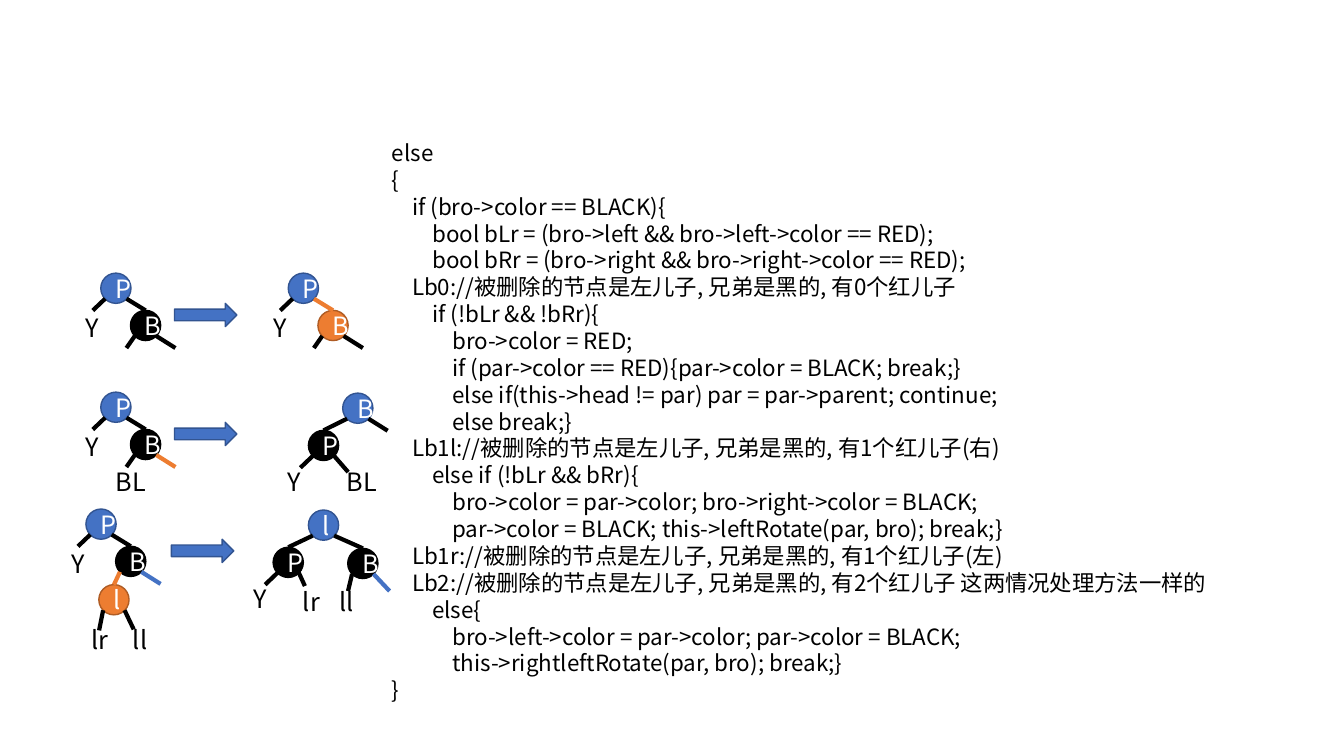
import pptx
import pptx.util
import pptx.dml.color
import pptx.enum.shapes
import pptx.enum.text
import pptx.oxml.ns
import lxml.etree

Pt = pptx.util.Pt
SHAPE = pptx.enum.shapes.MSO_SHAPE
ALIGN = pptx.enum.text.PP_ALIGN
ANCHOR = pptx.enum.text.MSO_ANCHOR

THEME = {
    "font": "Noto Sans CJK SC", "code_size": 16, "label_size": 18,
    "leading": 1.2, "outline": 1, "edge": 3,
    "text": "000000", "node_text": "FFFFFF",
    "fill": {"blue": "4472C4", "black": "000000", "red": "ED7D31"},
    "line": {"blue": "325491", "black": "000000", "red": "AF5C24"},
}

# (indent level, code line)
CODE = [
    (0, "else"),
    (0, "{"),
    (1, "if (bro->color == BLACK){"),
    (2, "bool bLr = (bro->left && bro->left->color == RED);"),
    (2, "bool bRr = (bro->right && bro->right->color == RED);"),
    (1, "Lb0://被删除的节点是左儿子, 兄弟是黑的, 有0个红儿子"),
    (2, "if (!bLr && !bRr){"),
    (3, "bro->color = RED;"),
    (3, "if (par->color == RED){par->color = BLACK; break;}"),
    (3, "else if(this->head != par) par = par->parent; continue;"),
    (3, "else break;}"),
    (1, "Lb1l://被删除的节点是左儿子, 兄弟是黑的, 有1个红儿子(右)"),
    (2, "else if (!bLr && bRr){"),
    (3, "bro->color = par->color; bro->right->color = BLACK;"),
    (3, "par->color = BLACK; this->leftRotate(par, bro); break;}"),
    (1, "Lb1r://被删除的节点是左儿子, 兄弟是黑的, 有1个红儿子(左)"),
    (1, "Lb2://被删除的节点是左儿子, 兄弟是黑的, 有2个红儿子 这两情况处理方法一样的"),
    (2, "else{"),
    (3, "bro->left->color = par->color; par->color = BLACK;"),
    (3, "this->rightleftRotate(par, bro); break;}"),
    (0, "}"),
]
CODE_BOX = (272.9, 95.8, 648, 414.7)
INDENT = 14.4

NODE = 21.6
LABEL = (44.6, 28.8)
ARROW = (44.6, 16.6)
ARROWS = [(124.6, 216.7), (124.6, 301.7), (122.4, 385.2)]
# Where edges leave (left, right) and enter (top) a node
PORTS = {"left": (3.1, 18.3), "right": (18.4, 18.3), "top": (10.8, 0)}

Y_CHILD = ("P", "left", (-8.8, 8.4), "black")
B_LEFT = ("B", "left", (-6, 8.6), "black")
B_RIGHT = ("B", "right", (13.7, 8.6))
Y_LABEL = ("Y", -28.1, 24.5)
ROTATED_Y = ("Y", -56.9, 49)


# Offsets are from the root; an edge ends at a node or at an offset from its port
def before(root, b_color, p_edge, edges, nodes=(), labels=()):
    """Describe a tree with P on top and its brother B at the lower right."""
    return {"root": root,
            "nodes": [("P", 0, 0, "blue"), ("B", 21.2, 26.6, b_color), *nodes],
            "edges": [("P", "right", "B", p_edge), Y_CHILD, *edges],
            "labels": [Y_LABEL, *labels]}


TREES = [
    before((72, 195.1), "black", "black", [(*B_RIGHT, "black"), B_LEFT]),
    before((205.9, 195.1), "red", "red", [(*B_RIGHT, "black"), B_LEFT]),
    before((72, 280.1), "black", "black", [(*B_RIGHT, "red"), B_LEFT],
           labels=[("BL", -0.7, 49.7)]),
    {"root": (244.8, 280.8),
     "nodes": [("P", -24.5, 26.6, "black"), ("B", 0, 0, "blue")],
     "edges": [("B", "left", "P", "black"), Y_CHILD, (*B_RIGHT, "black"),
               ("P", "right", (10, 11.5), "black")],
     "labels": [ROTATED_Y, ("BL", -8.6, 49)]},
    before((61.4, 363.6), "black", "black",
           [(*B_RIGHT, "blue"), ("B", "left", "l", "red"),
            ("l", "left", (-2.9, 14.4), "black"),
            ("l", "right", (6.5, 13.7), "black")],
           nodes=[("l", 9.2, 54, "red")],
           labels=[("ll", 16.4, 78.5), ("lr", -12.4, 78.5)]),
    {"root": (220.3, 364.3),
     "nodes": [("P", -25.2, 26.6, "black"), ("l", 0, 0, "blue"),
               ("B", 28.1, 27.4, "black")],
     "edges": [("l", "left", "P", "black"), Y_CHILD,
               ("l", "right", "B", "black"),
               ("P", "right", (-4.3 + 8.6, 9.4), "black"),
               ("B", "right", (11.5, 12.2), "blue"),
               ("B", "left", (-2.9, 12.2), "black")],
     "labels": [ROTATED_Y, ("lr", -20.2, 51.1), ("ll", 5, 51.1)]},
]


def rgb(value):
    """Turn a hex string into a colour."""
    return pptx.dml.color.RGBColor.from_string(value)


def points(values):
    """Turn numbers into lengths in points."""
    return [Pt(value) for value in values]


def add_span(para, text, size, color):
    """Write one run with the theme font and even line height."""
    para.line_spacing = Pt(size * THEME["leading"])
    span = para.add_run()
    span.text = text
    span.font.name = THEME["font"]
    span.font.size = Pt(size)
    span.font.color.rgb = rgb(color)
    fonts = span.font._element
    east = lxml.etree.SubElement(fonts, pptx.oxml.ns.qn("a:ea"))
    east.set("typeface", THEME["font"])


def add_solid(shapes, kind, frame, color):
    """Add a filled, outlined preset shape."""
    shape = shapes.add_shape(kind, *points(frame))
    shape.shadow.inherit = False
    shape.fill.solid()
    shape.fill.fore_color.rgb = rgb(THEME["fill"][color])
    shape.line.color.rgb = rgb(THEME["line"][color])
    shape.line.width = Pt(THEME["outline"])
    return shape


def add_node(shapes, name, left, top, color):
    """Add a lettered tree node."""
    node = add_solid(shapes, SHAPE.OVAL, (left, top, NODE, NODE), color)
    node.text_frame.vertical_anchor = ANCHOR.MIDDLE
    para = node.text_frame.paragraphs[0]
    para.alignment = ALIGN.CENTER
    add_span(para, name, THEME["label_size"], THEME["node_text"])


def add_edge(shapes, start, end, color):
    """Add a straight tree branch."""
    edge = shapes.add_connector(pptx.enum.shapes.MSO_CONNECTOR.STRAIGHT,
                                *points((*start, *end)))
    edge.line.color.rgb = rgb(THEME["fill"][color])
    edge.line.width = Pt(THEME["edge"])
    lxml.etree.SubElement(edge._element.spPr, pptx.oxml.ns.qn("a:effectLst"))


def add_box(shapes, frame):
    """Add a wrapping text box."""
    box = shapes.add_textbox(*points(frame))
    box.text_frame.word_wrap = True
    return box


def add_tree(page, tree):
    """Draw one tree as a group of nodes, branches and labels."""
    shapes = page.shapes.add_group_shape().shapes
    x, y = tree["root"]
    spots = {}
    for name, dx, dy, color in tree["nodes"]:
        spots[name] = (x + dx, y + dy)
        add_node(shapes, name, *spots[name], color)

    def port(name, side):
        """Locate a port of a node."""
        return tuple(a + b for a, b in zip(spots[name], PORTS[side]))

    for name, side, target, color in tree["edges"]:
        start = port(name, side)
        if target in spots:
            end = port(target, "top")
        else:
            end = tuple(a + b for a, b in zip(start, target))
        add_edge(shapes, start, end, color)
    for text, dx, dy in tree["labels"]:
        box = add_box(shapes, (x + dx, y + dy, *LABEL))
        para = box.text_frame.paragraphs[0]
        para.alignment = ALIGN.CENTER
        add_span(para, text, THEME["label_size"], THEME["text"])


def add_code(page):
    """Write the code listing with real indents."""
    frame = add_box(page.shapes, CODE_BOX).text_frame
    for index, (level, text) in enumerate(CODE):
        para = frame.add_paragraph() if index else frame.paragraphs[0]
        para._p.get_or_add_pPr().set("marL", str(Pt(level * INDENT)))
        add_span(para, text, THEME["code_size"], THEME["text"])


deck = pptx.Presentation()
deck.slide_width, deck.slide_height = Pt(960), Pt(540)
page = deck.slides.add_slide(deck.slide_layouts[6])
add_code(page)
for tree in TREES:
    add_tree(page, tree)
for spot in ARROWS:
    add_solid(page.shapes, SHAPE.RIGHT_ARROW, (*spot, *ARROW), "blue")
deck.save("out.pptx")
